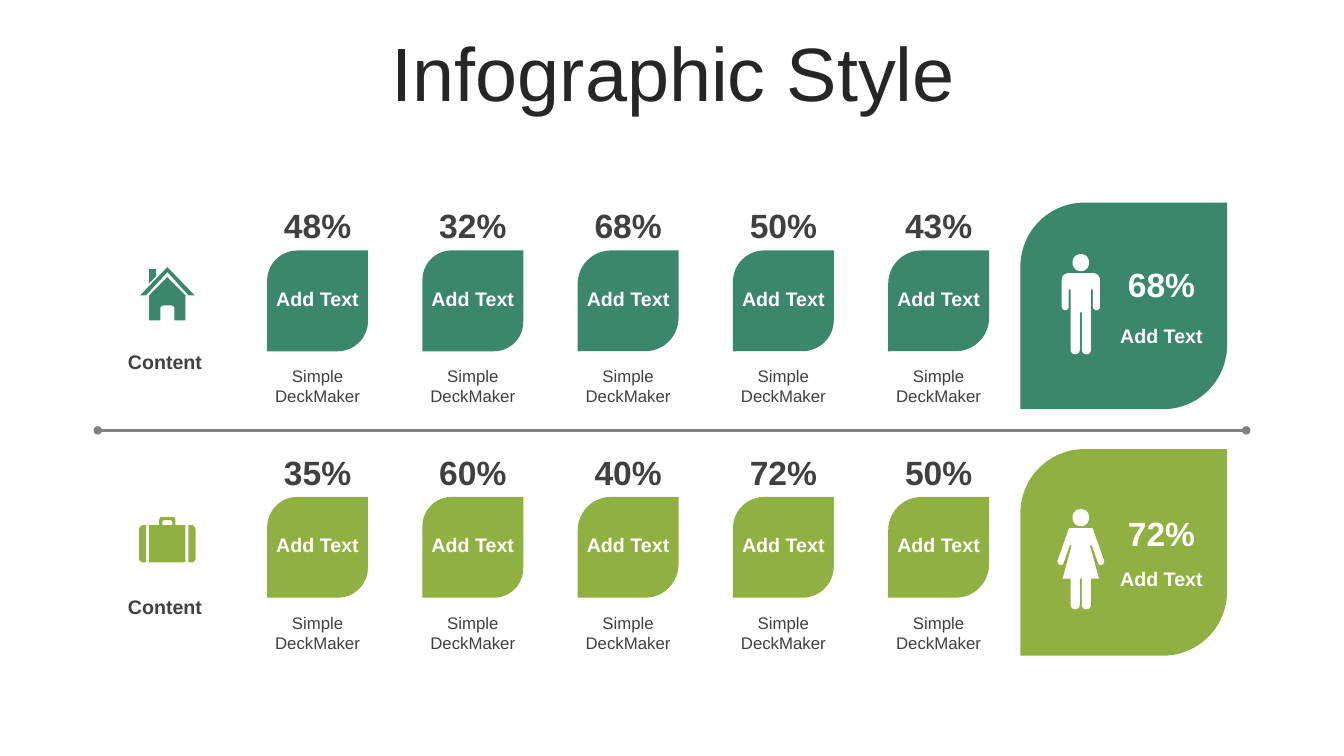
from lxml.etree import SubElement
from pptx import Presentation
from pptx.dml.color import RGBColor
from pptx.enum.shapes import MSO_CONNECTOR, MSO_SHAPE
from pptx.enum.text import MSO_ANCHOR, MSO_AUTO_SIZE, PP_ALIGN
from pptx.oxml.ns import qn
from pptx.util import Inches, Pt

GREEN = RGBColor(0x3A, 0x87, 0x6B)
LIME = RGBColor(0x90, 0xB1, 0x41)
WHITE = RGBColor(0xFF, 0xFF, 0xFF)
TITLE_COLOR = RGBColor(0x26, 0x26, 0x26)
TEXT_COLOR = RGBColor(0x40, 0x40, 0x40)
LINE_COLOR = RGBColor(0x80, 0x80, 0x80)

TITLE = "Infographic Style"
ROW_LABEL = "Content"
TILE_LABEL = "Add Text"
CAPTION = "Simple DeckMaker"

# Outlines in inches from an icon's top centre: a pair is a straight step,
# six numbers are a cubic curve.
# "joined" halves meet their mirror image, "twin" parts are drawn on both sides.
HEAD = ("joined", [(0, 0), (0.11, 0, 0.11, 0.17, 0, 0.17)])
MAN = [HEAD, ("joined", [
    (0, 0.19), (0.12, 0.19), (0.16, 0.19, 0.19, 0.22, 0.19, 0.26),
    (0.19, 0.52), (0.19, 0.57, 0.12, 0.57, 0.12, 0.52), (0.12, 0.35),
    (0.1, 0.35), (0.1, 0.95), (0.1, 1.01, 0.01, 1.01, 0.01, 0.95),
    (0.01, 0.58), (0, 0.58)])]
WOMAN = [HEAD, ("joined", [
    (0, 0.19), (0.08, 0.19), (0.11, 0.19, 0.11, 0.18, 0.12, 0.2),
    (0.23, 0.51), (0.24, 0.55, 0.18, 0.58, 0.17, 0.53), (0.11, 0.36),
    (0.09, 0.36), (0.18, 0.69), (0.1, 0.69), (0.1, 0.95),
    (0.1, 1.01, 0.01, 1.01, 0.01, 0.95), (0.01, 0.69), (0, 0.69)])]
HOUSE = [
    ("joined", [(0, 0), (0.27, 0.28), (0.21, 0.28), (0, 0.05)]),
    ("joined", [(0, 0.1), (0.18, 0.28), (0.18, 0.53), (0.07, 0.53),
                (0.07, 0.41), (0.07, 0.39, 0.05, 0.38, 0.03, 0.38), (0, 0.38)]),
    ("single", [(-0.18, 0.02), (-0.11, 0.02), (-0.11, 0.09), (-0.18, 0.16)])]
SUITCASE = [
    ("joined", [(0, 0), (0.06, 0), (0.07, 0, 0.08, 0.01, 0.08, 0.03),
                (0.08, 0.08), (0.18, 0.08), (0.18, 0.45), (0, 0.45)]),
    ("joined", [(0, 0.03), (0.03, 0.03), (0.04, 0.03, 0.05, 0.04, 0.05, 0.05),
                (0.05, 0.08), (0, 0.08)]),
    ("twin", [(0.21, 0.08), (0.24, 0.08), (0.26, 0.08, 0.28, 0.1, 0.28, 0.13),
              (0.28, 0.41), (0.28, 0.43, 0.26, 0.45, 0.24, 0.45), (0.21, 0.45)])]

# Vertical places are measured from the top of each row's large card.
ROWS = [
    {"top": 2.01, "color": GREEN, "values": ["48%", "32%", "68%", "50%", "43%"],
     "icon": (HOUSE, 0.64), "label_y": 1.41,
     "person": (MAN, 0.51), "total": ("68%", 0.56), "total_label_y": 1.15},
    {"top": 4.455, "color": LIME, "values": ["35%", "60%", "40%", "72%", "50%"],
     "icon": (SUITCASE, 0.675), "label_y": 1.395,
     "person": (WOMAN, 0.595), "total": ("72%", 0.585), "total_label_y": 1.125},
]
TILE_ROUNDING = [0.3, 0.29, 0.33, 0.31, 0.33]
CARD_ROUNDING = 0.31

TILE_LEFT, TILE_PITCH, TILE_SIZE = 2.65, 1.54, 1.0
TILE_Y, CAPTION_Y = 0.475, 1.57
CARD_LEFT, CARD_SIZE = 10.12, 2.05
ICON_CENTER, PERSON_CENTER, TOTAL_CENTER = 1.66, 10.72, 11.52
LABEL_WIDTH, PERCENT_WIDTH = 1.26, 1.02
LABEL_HEIGHT, PERCENT_HEIGHT = 0.34, 0.5


def add_text(slide, text, left, top, width, height, size, color=TEXT_COLOR,
             bold=False, align=PP_ALIGN.CENTER, anchor=MSO_ANCHOR.TOP):
    box = slide.shapes.add_textbox(*map(Inches, (left, top, width, height)))
    frame = box.text_frame
    frame.text = text
    frame.word_wrap = True
    frame.auto_size = MSO_AUTO_SIZE.NONE
    frame.vertical_anchor = anchor
    paragraph = frame.paragraphs[0]
    paragraph.alignment = align
    font = paragraph.runs[0].font
    font.name, font.size, font.bold = "Arial", Pt(size), bold
    font.color.rgb = color
    return paragraph


def add_label(slide, text, center, top, color=WHITE):
    add_text(slide, text, center - LABEL_WIDTH / 2, top, LABEL_WIDTH,
             LABEL_HEIGHT, 14, color, bold=True)


def add_percent(slide, text, center, top, color=TEXT_COLOR):
    add_text(slide, text, center - PERCENT_WIDTH / 2, top, PERCENT_WIDTH,
             PERCENT_HEIGHT, 24, color, bold=True, anchor=MSO_ANCHOR.MIDDLE)


def paint(shape, color):
    shape.shadow.inherit = False
    shape.fill.solid()
    shape.fill.fore_color.rgb = color
    shape.line.fill.background()


def add_leaf(slide, left, top, size, rounding, color):
    """Add a square with two opposite corners rounded."""
    leaf = slide.shapes.add_shape(MSO_SHAPE.ROUND_2_DIAG_RECTANGLE,
                                  *map(Inches, (left, top, size, size)))
    leaf.adjustments[0] = rounding
    leaf.adjustments[1] = 0
    paint(leaf, color)


def flatten(steps, pieces=10):
    """Turn straight and curved steps into a list of points."""
    points = []
    for step in steps:
        if len(step) == 2:
            points.append(step)
            continue
        controls = [points[-1], step[:2], step[2:4], step[4:]]
        for piece in range(1, pieces + 1):
            t = piece / pieces
            weights = ((1 - t) ** 3, 3 * t * (1 - t) ** 2, 3 * t * t * (1 - t), t ** 3)
            points.append(tuple(sum(w * c[axis] for w, c in zip(weights, controls))
                                for axis in (0, 1)))
    return points


def add_icon(slide, outlines, center, top, color):
    contours = []
    for kind, steps in outlines:
        points = flatten(steps)
        mirrored = [(-x, y) for x, y in reversed(points)]
        if kind == "joined":
            contours.append(points + mirrored)
        else:
            contours.append(points)
            if kind == "twin":
                contours.append(mirrored)
    placed = [[(Inches(center + x), Inches(top + y)) for x, y in contour]
              for contour in contours]
    builder = slide.shapes.build_freeform(*placed[0][0])
    for index, contour in enumerate(placed):
        if index:
            builder.move_to(*contour[0])
        builder.add_line_segments(contour[1:], close=True)
    paint(builder.convert_to_shape(), color)


def add_divider(slide):
    line = slide.shapes.add_connector(
        MSO_CONNECTOR.STRAIGHT, *map(Inches, (0.97, 4.27, 12.36, 4.27)))
    line.line.color.rgb = LINE_COLOR
    line.line.width = Pt(2)
    outline = line.line._get_or_add_ln()
    for end in ("a:headEnd", "a:tailEnd"):
        SubElement(outline, qn(end), type="oval")
    SubElement(line._element.spPr, qn("a:effectLst"))


def add_row(slide, row):
    top, color = row["top"], row["color"]
    outlines, icon_y = row["icon"]
    add_icon(slide, outlines, ICON_CENTER, top + icon_y, color)
    add_text(slide, ROW_LABEL, 1.17, top + row["label_y"], 1.01, LABEL_HEIGHT, 14,
             bold=True, align=PP_ALIGN.LEFT, anchor=MSO_ANCHOR.MIDDLE)

    for column, (value, rounding) in enumerate(zip(row["values"], TILE_ROUNDING)):
        left = TILE_LEFT + column * TILE_PITCH
        center = left + TILE_SIZE / 2
        tile_top = top + TILE_Y
        add_leaf(slide, left, tile_top, TILE_SIZE, rounding, color)
        add_percent(slide, value, center, tile_top - PERCENT_HEIGHT)
        add_label(slide, TILE_LABEL, center, tile_top + 0.31)
        add_text(slide, CAPTION, center - LABEL_WIDTH / 2, top + CAPTION_Y,
                 LABEL_WIDTH, 0.5, 12)

    add_leaf(slide, CARD_LEFT, top, CARD_SIZE, CARD_ROUNDING, color)
    outlines, person_y = row["person"]
    add_icon(slide, outlines, PERSON_CENTER, top + person_y, WHITE)
    total, total_y = row["total"]
    add_percent(slide, total, TOTAL_CENTER, top + total_y, WHITE)
    add_label(slide, TILE_LABEL, TOTAL_CENTER, top + row["total_label_y"])


def main():
    presentation = Presentation()
    presentation.slide_width = Inches(13.33)
    presentation.slide_height = Inches(7.5)
    slide = presentation.slides.add_slide(presentation.slide_layouts[6])
    title = add_text(slide, TITLE, 0.35, 0.37, 12.66, 0.79, 54, TITLE_COLOR,
                     anchor=MSO_ANCHOR.MIDDLE)
    title.line_spacing = 0.9
    for row in ROWS:
        add_row(slide, row)
    add_divider(slide)
    presentation.save("out.pptx")


if __name__ == "__main__":
    main()
